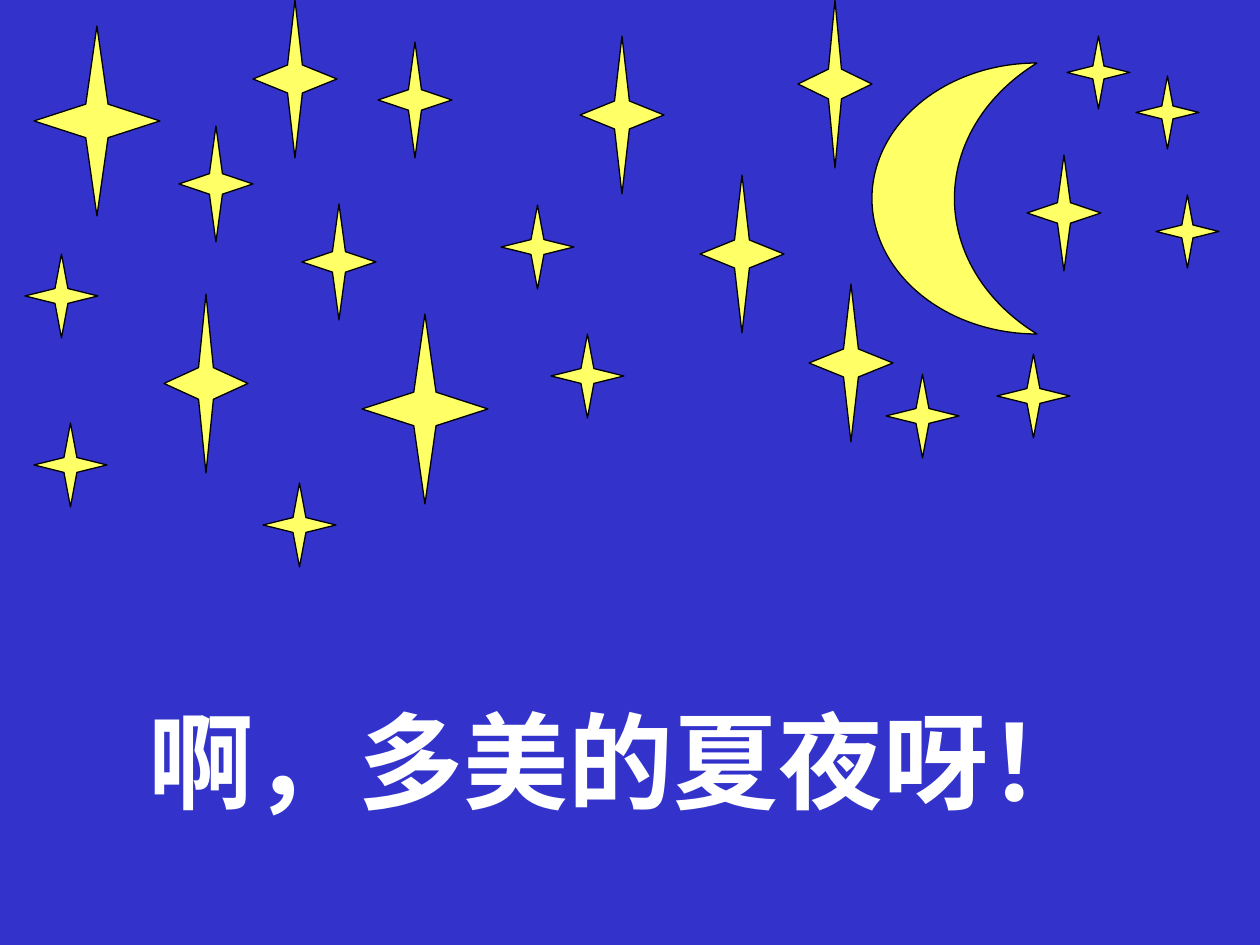
from typing import NamedTuple

import pptx
import pptx.dml.color
import pptx.enum.shapes
import pptx.enum.text
import pptx.util

EMU_PER_PX = 914400 / 126
NIGHT_BLUE = "3333CC"
MOON_YELLOW = "FFFF66"
BLACK = "000000"
WHITE = "FFFFFF"
PRESET = pptx.enum.shapes.MSO_SHAPE


class Size(NamedTuple):
    width: int
    height: int


class Star(NamedTuple):
    left: int
    top: int
    size: Size


TINY = Size(63, 73)
SMALL = Size(73, 84)
MEDIUM = Size(74, 116)
LARGE = Size(84, 158)
TALL = Size(84, 179)
SLENDER = Size(74, 168)
HUGE = Size(126, 190)

# Stars from back to front
STARS = [
    Star(164, 294, TALL),
    Star(1067, 36, TINY),
    Star(580, 36, LARGE),
    Star(798, 0, SLENDER),
    Star(179, 126, MEDIUM),
    Star(501, 205, SMALL),
    Star(34, 26, HUGE),
    Star(378, 42, MEDIUM),
    Star(1027, 155, MEDIUM),
    Star(302, 204, MEDIUM),
    Star(25, 254, SMALL),
    Star(551, 334, SMALL),
    Star(997, 354, SMALL),
    Star(253, 0, LARGE),
    Star(700, 175, LARGE),
    Star(1136, 76, TINY),
    Star(1156, 195, TINY),
    Star(362, 314, HUGE),
    Star(809, 284, LARGE),
    Star(34, 423, SMALL),
    Star(263, 483, SMALL),
    Star(886, 374, SMALL),
]


def px(length: int) -> pptx.util.Emu:
    return pptx.util.Emu(round(length * EMU_PER_PX))


def color(value: str) -> pptx.dml.color.RGBColor:
    return pptx.dml.color.RGBColor.from_string(value)


def add_preset(page, preset, left: int, top: int, size: Size,
               fill: str, line: str | None = None):
    shape = page.shapes.add_shape(
        preset, px(left), px(top), px(size.width), px(size.height))
    shape.shadow.inherit = False
    shape.fill.solid()
    shape.fill.fore_color.rgb = color(fill)
    if line is None:
        shape.line.fill.background()
    else:
        shape.line.color.rgb = color(line)
        shape.line.width = pptx.util.Pt(0.75)
    return shape


def add_star(page, star: Star) -> None:
    shape = add_preset(page, PRESET.STAR_4_POINT, star.left, star.top,
                       star.size, MOON_YELLOW, BLACK)
    shape.adjustments[0] = 0.125


def write_text(box, text: str, *, font: str, points: int, fill: str,
               bold: bool = False) -> None:
    frame = box.text_frame
    frame.word_wrap = False
    frame.auto_size = pptx.enum.text.MSO_AUTO_SIZE.SHAPE_TO_FIT_TEXT
    frame.vertical_anchor = pptx.enum.text.MSO_ANCHOR.TOP
    para = frame.paragraphs[0]
    para.alignment = pptx.enum.text.PP_ALIGN.LEFT
    span = para.add_run()
    span.text = text
    span.font.name = font
    span.font.size = pptx.util.Pt(points)
    span.font.bold = bold
    span.font.color.rgb = color(fill)


def main() -> None:
    deck = pptx.Presentation()
    deck.slide_width, deck.slide_height = px(1260), px(945)
    page = deck.slides.add_slide(deck.slide_layouts.get_by_name("Title Only"))

    # Night sky, a little taller than the page
    add_preset(page, PRESET.RECTANGLE, 0, 0, Size(1260, 983), NIGHT_BLUE)

    # Stars and crescent moon
    for star in STARS:
        add_star(page, star)
    moon = add_preset(page, PRESET.MOON, 872, 63, Size(165, 271),
                      MOON_YELLOW, BLACK)
    moon.adjustments[0] = 0.5

    # Title, brought in front of the sky
    title = page.shapes.title
    title.left, title.top = px(136), px(690)
    title.width, title.height = px(970), px(139)
    write_text(title, "啊，多美的夏夜呀！", font="Times New Roman",
               points=60, fill=WHITE, bold=True)
    page.shapes.element.append(title.element)

    deck.save("out.pptx")


if __name__ == "__main__":
    main()
